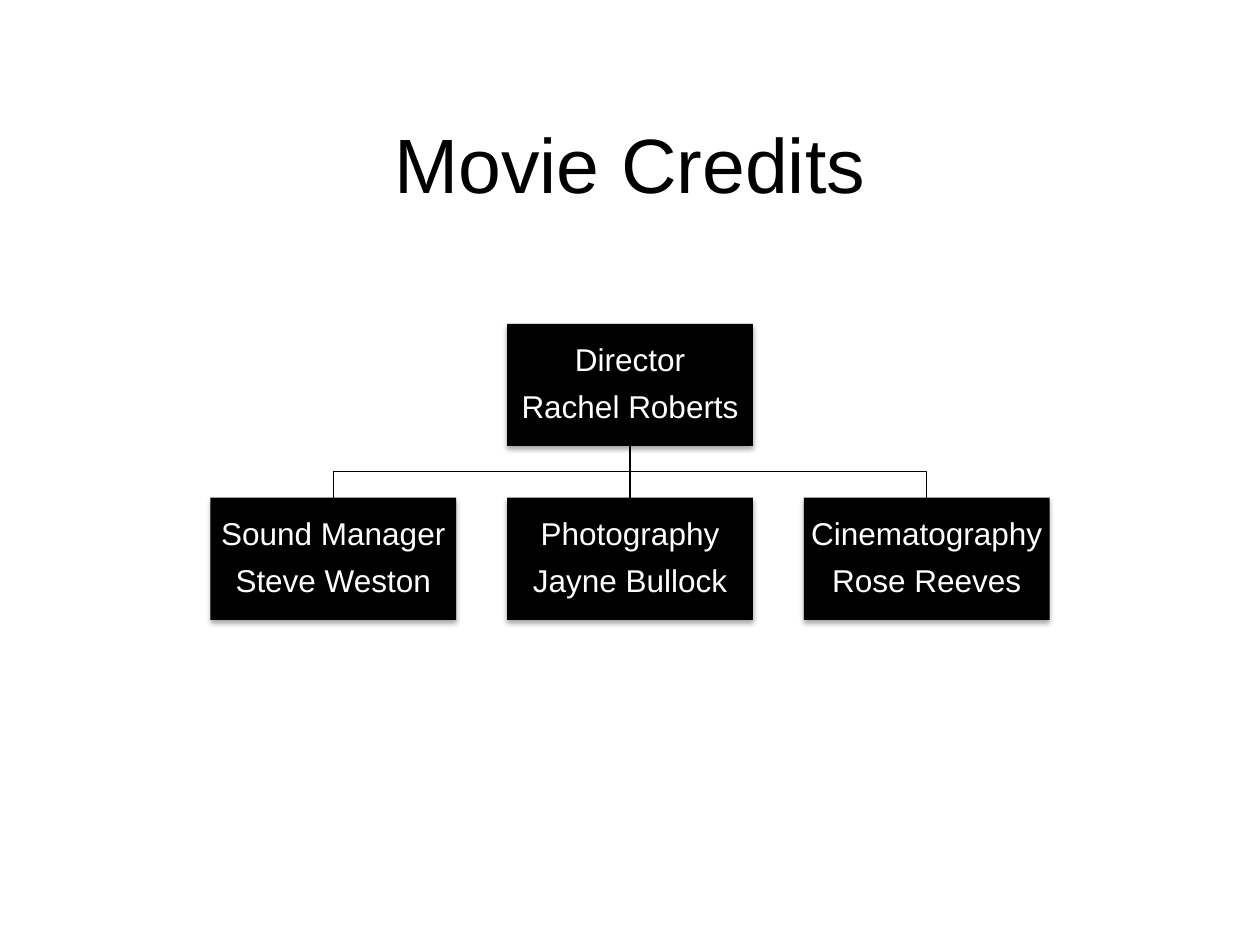
from dataclasses import dataclass

from lxml.etree import SubElement
from pptx import Presentation
from pptx.dml.color import RGBColor
from pptx.enum.shapes import MSO_CONNECTOR, MSO_SHAPE
from pptx.enum.text import MSO_ANCHOR, PP_ALIGN
from pptx.oxml.ns import qn
from pptx.util import Inches, Pt


@dataclass(frozen=True)
class Theme:
    font: str = "Arial"
    dark: RGBColor = RGBColor(0, 0, 0)
    light: RGBColor = RGBColor(255, 255, 255)
    head: Pt = Pt(44)
    body: Pt = Pt(18)
    line: Pt = Pt(0.75)


THEME = Theme()
LEAD = ("Director", "Rachel Roberts")
CREW = [
    ("Sound Manager", "Steve Weston"),
    ("Photography", "Jayne Bullock"),
    ("Cinematography", "Rose Reeves"),
]


def style(para, size, color):
    para.alignment = PP_ALIGN.CENTER
    para.font.name = THEME.font
    para.font.size = size
    para.font.color.rgb = color


def add_title(slide, text, left, top, width, height):
    title = slide.shapes.title
    title.left, title.top = Inches(left), Inches(top)
    title.width, title.height = Inches(width), Inches(height)
    frame = title.text_frame
    frame.text = text
    frame.vertical_anchor = MSO_ANCHOR.MIDDLE
    style(frame.paragraphs[0], THEME.head, THEME.dark)


def add_shadow(shape):
    # Soft shadow straight below
    shape.shadow.inherit = False
    effects = shape._element.spPr.find(qn("a:effectLst"))
    outer = SubElement(effects, qn("a:outerShdw"), blurRad=str(Pt(3.1)),
                       dist=str(Pt(1.8)), dir="5400000", rotWithShape="0")
    color = SubElement(outer, qn("a:srgbClr"), val=str(THEME.dark))
    SubElement(color, qn("a:alpha"), val="35000")


def add_card(slide, lines, left, top, width, height):
    card = slide.shapes.add_shape(MSO_SHAPE.RECTANGLE, Inches(left),
                                  Inches(top), Inches(width), Inches(height))
    card.fill.solid()
    card.fill.fore_color.rgb = THEME.dark
    card.line.fill.background()
    add_shadow(card)
    frame = card.text_frame
    frame.word_wrap = True
    frame.vertical_anchor = MSO_ANCHOR.MIDDLE
    frame.margin_left = frame.margin_right = Inches(0.01)
    frame.margin_top = frame.margin_bottom = Inches(0.01)
    frame.text = "\n".join(lines)
    for para in frame.paragraphs:
        style(para, THEME.body, THEME.light)
        para.line_spacing = 0.9
        para.space_after = Pt(7)


def add_link(slide, x, top, end, base):
    if x == end:
        link = slide.shapes.add_connector(MSO_CONNECTOR.STRAIGHT, Inches(x),
                                          Inches(top), Inches(x), Inches(base))
        SubElement(link._element.spPr, qn("a:effectLst"))
    else:
        mid = Inches((top + base) / 2)
        pen = slide.shapes.build_freeform(Inches(x), Inches(top))
        pen.add_line_segments([(Inches(x), mid), (Inches(end), mid),
                               (Inches(end), Inches(base))], close=False)
        link = pen.convert_to_shape()
        link.fill.background()
        link.shadow.inherit = False
    link.line.color.rgb = THEME.dark
    link.line.width = THEME.line


def add_chart(slide, left, top, width, height):
    # Two rows of cards, with equal gaps between columns
    card_w, card_h = 1.95, 0.97
    step = (width - card_w) / (len(CREW) - 1)
    mid = left + width / 2
    row = top + height - card_h
    spots = [mid - card_w / 2 + (i - (len(CREW) - 1) / 2) * step
             for i in range(len(CREW))]
    for spot in spots:
        add_link(slide, mid, top + card_h, spot + card_w / 2, row)
    add_card(slide, LEAD, mid - card_w / 2, top, card_w, card_h)
    for spot, lines in zip(spots, CREW):
        add_card(slide, lines, spot, row, card_w, card_h)


def main():
    deck = Presentation()
    deck.slide_width, deck.slide_height = Inches(10), Inches(7.5)
    slide = deck.slides.add_slide(deck.slide_layouts[5])
    add_title(slide, "Movie Credits", 0.75, 0.67, 8.5, 1.25)
    add_chart(slide, 1.67, 2.57, 6.66, 2.35)
    deck.save("out.pptx")


if __name__ == "__main__":
    main()
